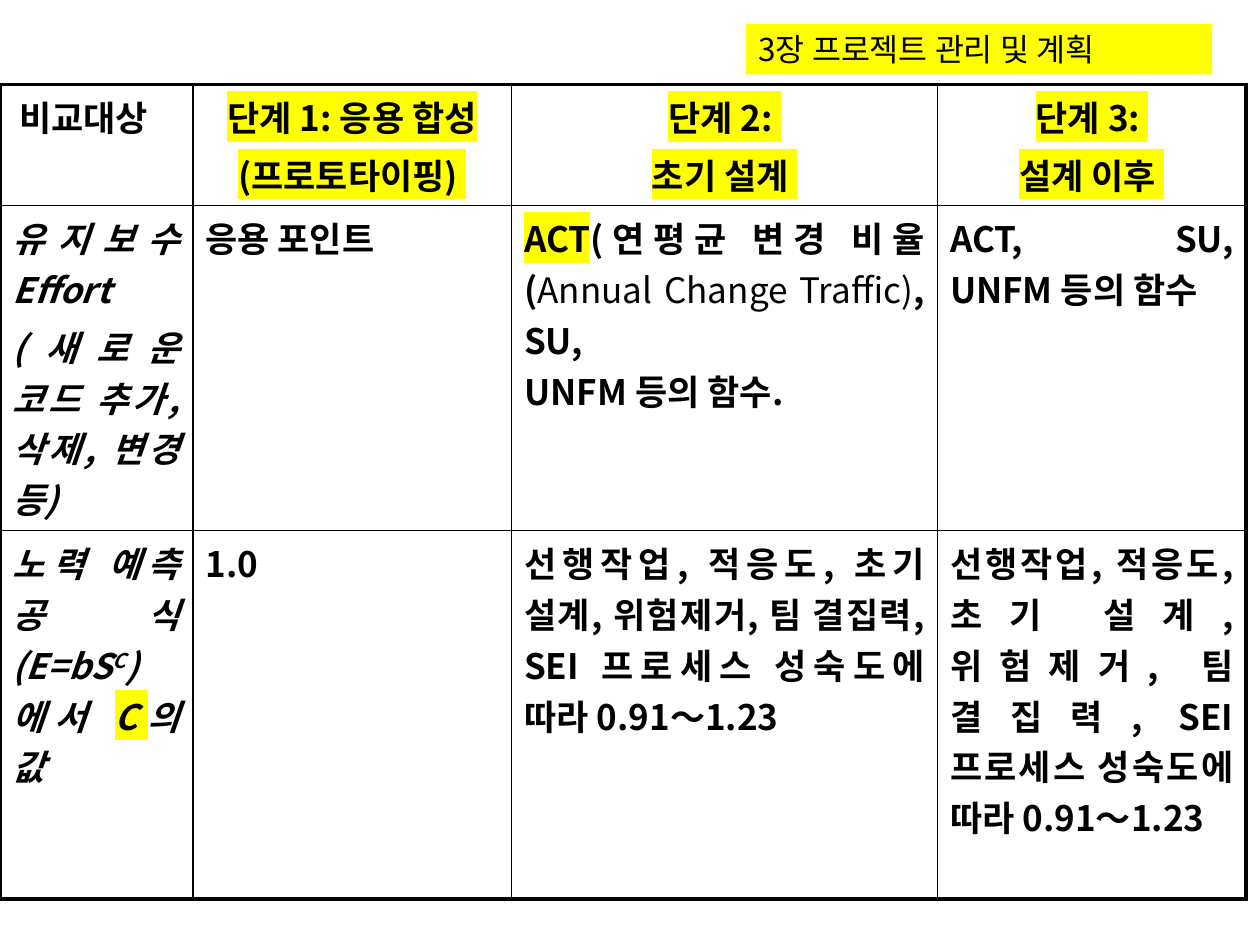
from pptx import Presentation
from pptx.util import Inches, Pt
from pptx.dml.color import RGBColor
from pptx.enum.text import PP_ALIGN, MSO_ANCHOR
from pptx.oxml.ns import qn
from lxml.etree import SubElement, Element

COLORS = {"ink": "000000", "mark": "FFFF00"}
FONT = "Noto Sans CJK KR"
COLS = (1.53, 2.53, 3.38, 2.45)
ROWS = (0.96, 2.58, 2.92)
THIN, THICK = 1, 2.25
FACTORS = [[("선행작업, 적응도, 초기 설계, 위험제거, 팀 결집력, "
             "SEI 프로세스 성숙도에 따라 0.91～1.23", "b")]]
CELLS = [
    [
        [[("비교대상", "b")]],
        [[("단계 1: 응용 합성", "bm")], [("(프로토타이핑) ", "bm")]],
        [[("단계 2: ", "bm")], [("초기 설계 ", "bm")]],
        [[("단계 3: ", "bm")], [("설계 이후 ", "bm")]],
    ],
    [
        [[("유지보수 Effort", "bi")],
         [("(새로운 코드 추가, 삭제, 변경 등)", "bi")]],
        [[("응용 포인트", "b")]],
        [[("ACT", "bm"), ("(연평균 변경 비율(", "b"),
          ("Annual Change Traffic)", ""),
          (", SU,\nUNFM 등의 함수.", "b")]],
        [[("ACT, SU,\nUNFM 등의 함수", "b")]],
    ],
    [
        [[("노력 예측 공식(E=bS", "bi"), ("C", "bis"), (")에서 ", "bi"),
          ("C", "bim"), ("의 값", "bi")]],
        [[("1.0", "b")]],
        FACTORS,
        FACTORS,
    ],
]


def style(run, size, flags=""):
    font = run.font
    font.size = Pt(size)
    font.bold = "b" in flags
    font.italic = "i" in flags
    font.color.rgb = RGBColor.from_string(COLORS["ink"])
    props = run._r.get_or_add_rPr()
    if "s" in flags:
        props.set("baseline", "30000")
    if "m" in flags:
        light = SubElement(props, qn("a:highlight"))
        SubElement(light, qn("a:srgbClr"), val=COLORS["mark"])
    font.name = FONT
    SubElement(props, qn("a:ea"), typeface=FONT)


def write(cell, paras, align):
    frame = cell.text_frame
    for n, parts in enumerate(paras):
        para = frame.add_paragraph() if n else frame.paragraphs[0]
        para.alignment = align
        para.space_before = Pt(4)
        for text, flags in parts:
            for k, line in enumerate(text.split("\n")):
                if k:
                    para.add_line_break()
                run = para.add_run()
                run.text = line
                style(run, 20, flags)


def border(cell, sides):
    props = cell._tc.get_or_add_tcPr()
    for n, (side, width) in enumerate(sides.items()):
        line = Element(qn("a:ln" + side), w=str(Pt(width)))
        fill = SubElement(line, qn("a:solidFill"))
        SubElement(fill, qn("a:srgbClr"), val=COLORS["ink"])
        props.insert(n, line)


def banner(slide, box):
    title = slide.shapes.title
    title.left, title.top, title.width, title.height = map(Inches, box)
    title.fill.solid()
    title.fill.fore_color.rgb = RGBColor.from_string(COLORS["mark"])
    frame = title.text_frame
    frame.text = "3장 프로젝트 관리 및 계획"
    frame.word_wrap = True
    frame.vertical_anchor = MSO_ANCHOR.MIDDLE
    para = frame.paragraphs[0]
    para.alignment = PP_ALIGN.LEFT
    style(para.runs[0], 18)


def grid(slide, box):
    shape = slide.shapes.add_table(len(ROWS), len(COLS), *map(Inches, box))
    table = shape.table
    table.first_row = table.horz_banding = False
    for col, width in zip(table.columns, COLS):
        col.width = Inches(width)
    for row, height in zip(table.rows, ROWS):
        row.height = Inches(height)
    for r, row in enumerate(CELLS):
        for c, paras in enumerate(row):
            cell = table.cell(r, c)
            cell.fill.background()
            border(cell, {
                "L": THICK if c == 0 else THIN,
                "R": THICK if c == len(COLS) - 1 else THIN,
                "T": THICK if r == 0 else THIN,
                "B": THICK if r == len(ROWS) - 1 else THIN,
            })
            write(cell, paras, PP_ALIGN.JUSTIFY if r else PP_ALIGN.CENTER)
    table.cell(0, 0).margin_right = Inches(0.3)


def main():
    deck = Presentation()
    deck.slide_width, deck.slide_height = Inches(10), Inches(7.5)
    slide = deck.slides.add_slide(deck.slide_layouts[5])
    grid(slide, (0, 0.67, sum(COLS), sum(ROWS)))
    banner(slide, (5.92, 0.19, 3.7, 0.4))
    deck.save("out.pptx")


if __name__ == "__main__":
    main()
